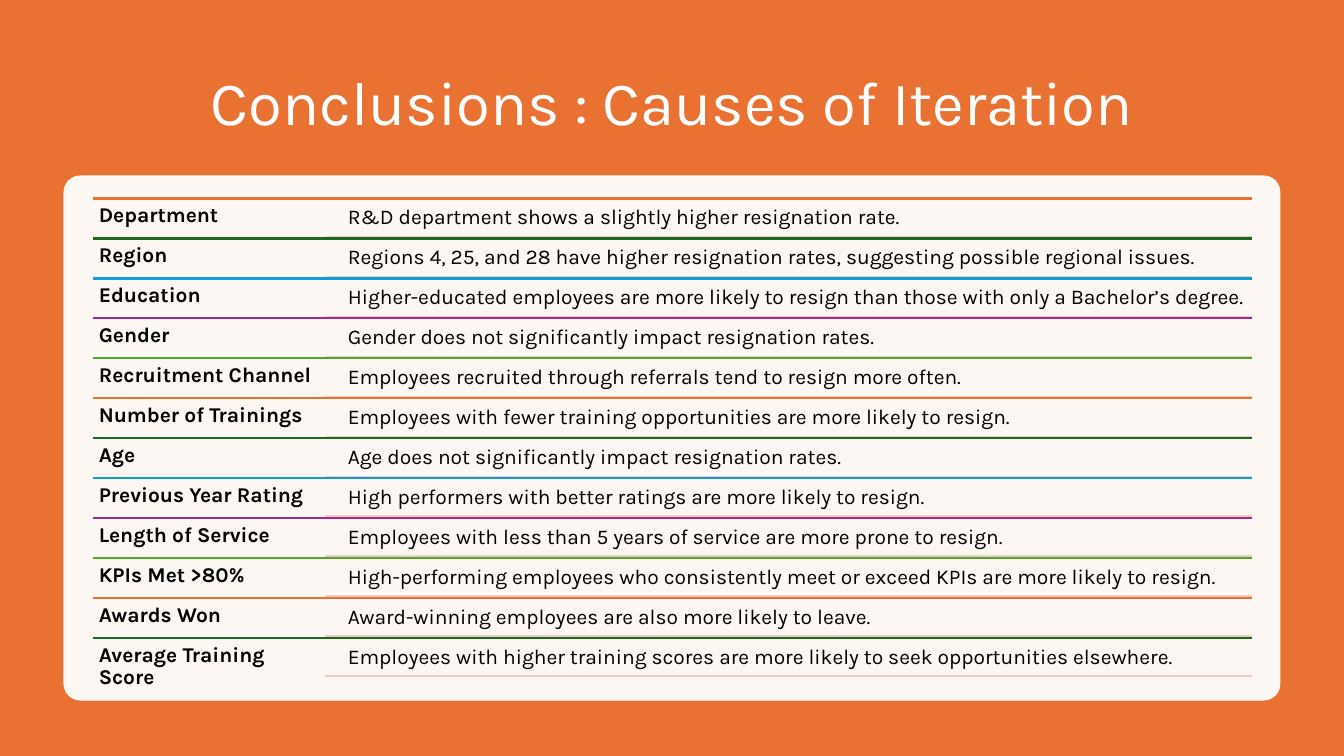
from itertools import cycle

from lxml import etree
from pptx import Presentation
from pptx import util as u
from pptx.dml.color import RGBColor
from pptx.enum import shapes, text
from pptx.oxml.ns import qn

COLORS = {
    "orange": "E97132", "green": "196B24", "blue": "0F9ED5", "purple": "A02B93",
    "lime": "4EA72E", "pink": "F4C9BF", "white": "FFFFFF", "black": "000000",
}
FONT = "Karla"
WIDTH, HEIGHT = 13.33, 7.5

# Grid of findings, in inches
LEFT, RIGHT, TOP = 0.92, 12.42, 1.97
FACTOR_WIDTH = 2.3
FINDING_LEFT = 3.39
LAST_ROW_TOP = 6.33
FINDING_OFFSET, FINDING_HEIGHT = 0.02, 0.36
INSET = 0.06

FINDINGS = [
    ("Department", "R&D department shows a slightly higher resignation rate."),
    ("Region", "Regions 4, 25, and 28 have higher resignation rates, suggesting possible regional issues."),
    ("Education", "Higher-educated employees are more likely to resign than those with only a Bachelor’s degree."),
    ("Gender", "Gender does not significantly impact resignation rates."),
    ("Recruitment Channel", "Employees recruited through referrals tend to resign more often."),
    ("Number of Trainings", "Employees with fewer training opportunities are more likely to resign."),
    ("Age", "Age does not significantly impact resignation rates."),
    ("Previous Year Rating", "High performers with better ratings are more likely to resign."),
    ("Length of Service", "Employees with less than 5 years of service are more prone to resign."),
    ("KPIs Met >80%", "High-performing employees who consistently meet or exceed KPIs are more likely to resign."),
    ("Awards Won", "Award-winning employees are also more likely to leave."),
    ("Average Training Score", "Employees with higher training scores are more likely to seek opportunities elsewhere."),
]
ROW_HEIGHT = (LAST_ROW_TOP - TOP) / (len(FINDINGS) - 1)


def write(frame, words, size, color, bold=False):
    """Put one formatted run into the first paragraph of a text frame."""
    frame.word_wrap = True
    paragraph = frame.paragraphs[0]
    paragraph.line_spacing = 0.9
    run = paragraph.add_run()
    run.text = words
    run.font.name, run.font.size, run.font.bold = FONT, u.Pt(size), bold
    run.font.color.rgb = RGBColor.from_string(COLORS[color])
    return paragraph


def add_rule(parent, left, y, color):
    """Draw a horizontal line from left to the right edge of the grid."""
    rule = parent.shapes.add_connector(
        shapes.MSO_CONNECTOR.STRAIGHT,
        u.Inches(left), u.Inches(y), u.Inches(RIGHT), u.Inches(y))
    rule.line.color.rgb = RGBColor.from_string(COLORS[color])
    rule.line.width = u.Pt(1.5)
    etree.SubElement(rule.element.spPr, qn("a:effectLst"))


deck = Presentation()
deck.slide_width, deck.slide_height = u.Inches(WIDTH), u.Inches(HEIGHT)
slide = deck.slides.add_slide(deck.slide_layouts[5])

title = slide.shapes.title
title.left, title.top = u.Inches(LEFT), u.Inches(0.5)
title.width, title.height = u.Inches(RIGHT - LEFT), u.Inches(1.1)
title.text_frame.vertical_anchor = text.MSO_ANCHOR.MIDDLE
heading = write(title.text_frame, "Conclusions : Causes of Iteration", 44, "white")
heading.alignment = text.PP_ALIGN.CENTER

backdrop = slide.shapes.add_shape(
    shapes.MSO_SHAPE.RECTANGLE, 0, 0, deck.slide_width, deck.slide_height)
card = slide.shapes.add_shape(
    shapes.MSO_SHAPE.ROUNDED_RECTANGLE,
    u.Inches(0.63), u.Inches(1.74), u.Inches(12.07), u.Inches(5.21))
card.adjustments[0] = 0.032
for panel, color in ((backdrop, "orange"), (card, "white")):
    panel.shadow.inherit = False
    panel.fill.solid()
    panel.fill.fore_color.rgb = RGBColor.from_string(COLORS[color])
    panel.line.fill.background()
title.element.addprevious(backdrop.element)
card_color = card.element.spPr.find(qn("a:solidFill")).find(qn("a:srgbClr"))
etree.SubElement(card_color, qn("a:alpha"), val="95000")

findings = slide.shapes.add_group_shape()
accents = cycle(["orange", "green", "blue", "purple", "lime"])
for row, ((factor, finding), accent) in enumerate(zip(FINDINGS, accents)):
    y = TOP + row * ROW_HEIGHT
    finding_top = y + FINDING_OFFSET
    add_rule(findings, LEFT, y, accent)
    cells = [
        (factor, LEFT, y, FACTOR_WIDTH, ROW_HEIGHT, True),
        (finding, FINDING_LEFT, finding_top, RIGHT - FINDING_LEFT, FINDING_HEIGHT, False),
    ]
    for words, left, top, width, height, bold in cells:
        frame = findings.shapes.add_textbox(
            u.Inches(left), u.Inches(top), u.Inches(width), u.Inches(height)).text_frame
        frame.margin_left = frame.margin_right = u.Inches(INSET)
        frame.margin_top = frame.margin_bottom = u.Inches(INSET)
        write(frame, words, 15, "black", bold)
    add_rule(findings, LEFT + FACTOR_WIDTH, finding_top + FINDING_HEIGHT, "pink")

deck.save("out.pptx")
